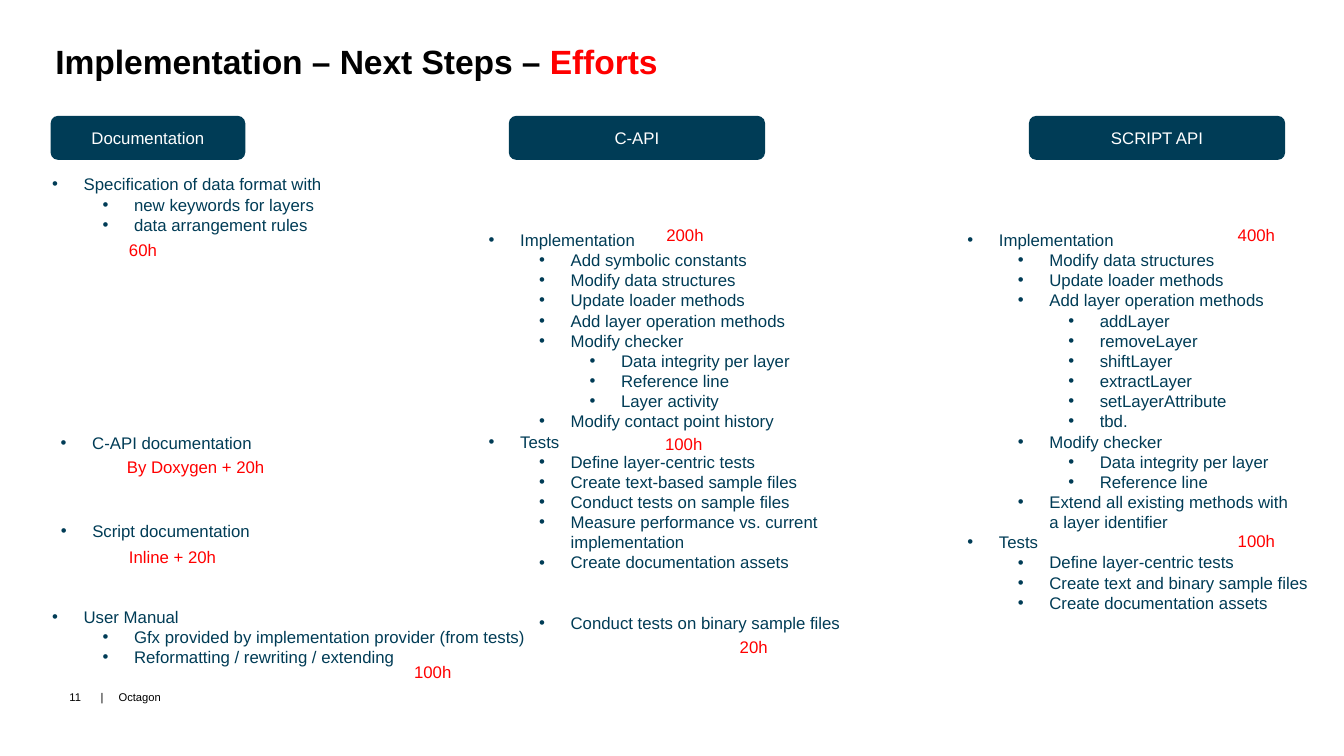
from lxml.etree import SubElement
from pptx import Presentation
from pptx.dml.color import RGBColor
from pptx.enum.shapes import MSO_SHAPE
from pptx.enum.text import MSO_ANCHOR, PP_ALIGN
from pptx.oxml.ns import qn
from pptx.util import Pt

COLORS = {"navy": "003C56", "red": "FF0000", "black": "000000", "white": "FFFFFF"}
LINE_HEIGHT = 14.4
INDENT = 22.5
LEVEL_STEP = 36

HEADERS = [
    ("Documentation", 36.2, 139),
    ("C-API", 363.5, 183),
    ("SCRIPT API", 735, 183),
]

OUTLINES = [
    (30.2, 120.8, 212.4, [
        (0, "Specification of data format with"),
        (1, "new keywords for layers"),
        (1, "data arrangement rules"),
    ]),
    (36.3, 305.5, 152, [(0, "C-API documentation")]),
    (36.3, 368.6, 156, [(0, "Script documentation")]),
    (30.2, 429.8, 355, [
        (0, "User Manual"),
        (1, "Gfx provided by implementation provider (from tests)"),
        (1, "Reformatting / rewriting / extending"),
    ]),
    (342, 160.5, 267.8, [
        (0, "Implementation"),
        (1, "Add symbolic constants"),
        (1, "Modify data structures"),
        (1, "Update loader methods"),
        (1, "Add layer operation methods"),
        (1, "Modify checker"),
        (2, "Data integrity per layer"),
        (2, "Reference line"),
        (2, "Layer activity"),
        (1, "Modify contact point history"),
        (0, "Tests"),
        (1, "Define layer-centric tests"),
        (1, "Create text-based sample files"),
        (1, "Conduct tests on sample files"),
        (1, "Measure performance vs. current\nimplementation"),
        (1, "Create documentation assets"),
        (1, "Conduct tests on binary sample files", 2 * LINE_HEIGHT),
    ]),
    (684, 160.5, 260, [
        (0, "Implementation"),
        (1, "Modify data structures"),
        (1, "Update loader methods"),
        (1, "Add layer operation methods"),
        (2, "addLayer"),
        (2, "removeLayer"),
        (2, "shiftLayer"),
        (2, "extractLayer"),
        (2, "setLayerAttribute"),
        (2, "tbd."),
        (1, "Modify checker"),
        (2, "Data integrity per layer"),
        (2, "Reference line"),
        (1, "Extend all existing methods with\na layer identifier"),
        (0, "Tests"),
        (1, "Define layer-centric tests"),
        (1, "Create text and binary sample files"),
        (1, "Create documentation assets"),
    ]),
]

EFFORTS = [
    ("60h", 85, 167.8, 34.6),
    ("By Doxygen + 20h", 83.5, 323, 113.8),
    ("Inline + 20h", 85, 387.1, 77),
    ("100h", 288.7, 469.4, 41),
    ("200h", 468.9, 157, 41),
    ("100h", 468, 306, 41),
    ("20h", 521.3, 451.4, 34.6),
    ("400h", 877, 157, 41),
    ("100h", 877, 375.8, 41),
]


def write(paragraph, text, *, size=12, color="navy", bold=False, spacing=None):
    """Append formatted text to a paragraph, breaking lines at newlines."""
    for number, line in enumerate(text.split("\n")):
        if number:
            paragraph.add_line_break()
        run = paragraph.add_run()
        run.text = line
        run.font.name = "Arial"
        run.font.size = Pt(size)
        run.font.bold = bold
        run.font.color.rgb = RGBColor.from_string(COLORS[color])
        if spacing is not None:
            run.font._element.set("spc", str(spacing))


def add_text_frame(slide, left, top, width, height, wrap=False, anchor=MSO_ANCHOR.TOP):
    """Add a text box and return its text frame."""
    frame = slide.shapes.add_textbox(Pt(left), Pt(top), Pt(width), Pt(height)).text_frame
    frame.word_wrap = wrap
    frame.vertical_anchor = anchor
    return frame


def add_title(slide):
    """Add the two-coloured title."""
    frame = add_text_frame(slide, 30.2, 33.5, 901.4, 38.9, wrap=True)
    frame.margin_left = frame.margin_right = Pt(9.4)
    frame.margin_top = frame.margin_bottom = Pt(5)
    paragraph = frame.paragraphs[0]
    paragraph.line_spacing = Pt(19.5)
    for text, color in (("Implementation – Next Steps – ", "black"), ("Efforts", "red")):
        write(paragraph, text, size=24, color=color, bold=True, spacing=-5)


def add_header(slide, text, left, width):
    """Add the rounded heading of a column."""
    shape = slide.shapes.add_shape(
        MSO_SHAPE.ROUNDED_RECTANGLE, Pt(left), Pt(82.8), Pt(width), Pt(31.4))
    shape.shadow.inherit = False
    shape.fill.solid()
    shape.fill.fore_color.rgb = RGBColor.from_string(COLORS["navy"])
    shape.line.fill.background()
    shape.text_frame.vertical_anchor = MSO_ANCHOR.MIDDLE
    paragraph = shape.text_frame.paragraphs[0]
    paragraph.alignment = PP_ALIGN.CENTER
    write(paragraph, text, color="white")


def add_outline(slide, left, top, width, items):
    """Add a bulleted list with up to three levels."""
    line_count = sum(1 + item[1].count("\n") for item in items)
    frame = add_text_frame(slide, left, top, width, line_count * LINE_HEIGHT + 7.2)
    for number, (level, text, *space_before) in enumerate(items):
        paragraph = frame.add_paragraph() if number else frame.paragraphs[0]
        properties = paragraph._p.get_or_add_pPr()
        properties.set("marL", str(Pt(INDENT + level * LEVEL_STEP)))
        properties.set("indent", str(-Pt(INDENT)))
        SubElement(properties, qn("a:buFont"), typeface="Arial")
        SubElement(properties, qn("a:buChar"), char="•")
        paragraph.level = level
        paragraph.line_spacing = Pt(LINE_HEIGHT)
        if space_before:
            paragraph.space_before = Pt(space_before[0])
        write(paragraph, text)


def add_effort(slide, text, left, top, width):
    """Add a red effort estimate."""
    paragraph = add_text_frame(slide, left, top, width, 21.6).paragraphs[0]
    paragraph.line_spacing = Pt(LINE_HEIGHT)
    write(paragraph, text, color="red")


def add_footer(slide):
    """Add the page number and the company name."""
    for text, left, width, wrap in (("11", 42.5, 30.2, False), ("|\tOctagon", 64.8, 324, True)):
        frame = add_text_frame(slide, left, 483.8, width, 28.8, wrap, MSO_ANCHOR.MIDDLE)
        paragraph = frame.paragraphs[0]
        tabs = SubElement(paragraph._p.get_or_add_pPr(), qn("a:tabLst"))
        SubElement(tabs, qn("a:tab"), pos=str(Pt(12.8)), algn="l")
        write(paragraph, text, size=8, color="black")


def main():
    """Build and save the slide."""
    presentation = Presentation()
    presentation.slide_width = Pt(960)
    presentation.slide_height = Pt(540)
    slide = presentation.slides.add_slide(presentation.slide_layouts[6])
    add_footer(slide)
    add_title(slide)
    for header in HEADERS:
        add_header(slide, *header)
    for outline in OUTLINES:
        add_outline(slide, *outline)
    for effort in EFFORTS:
        add_effort(slide, *effort)
    presentation.save("out.pptx")


if __name__ == "__main__":
    main()
